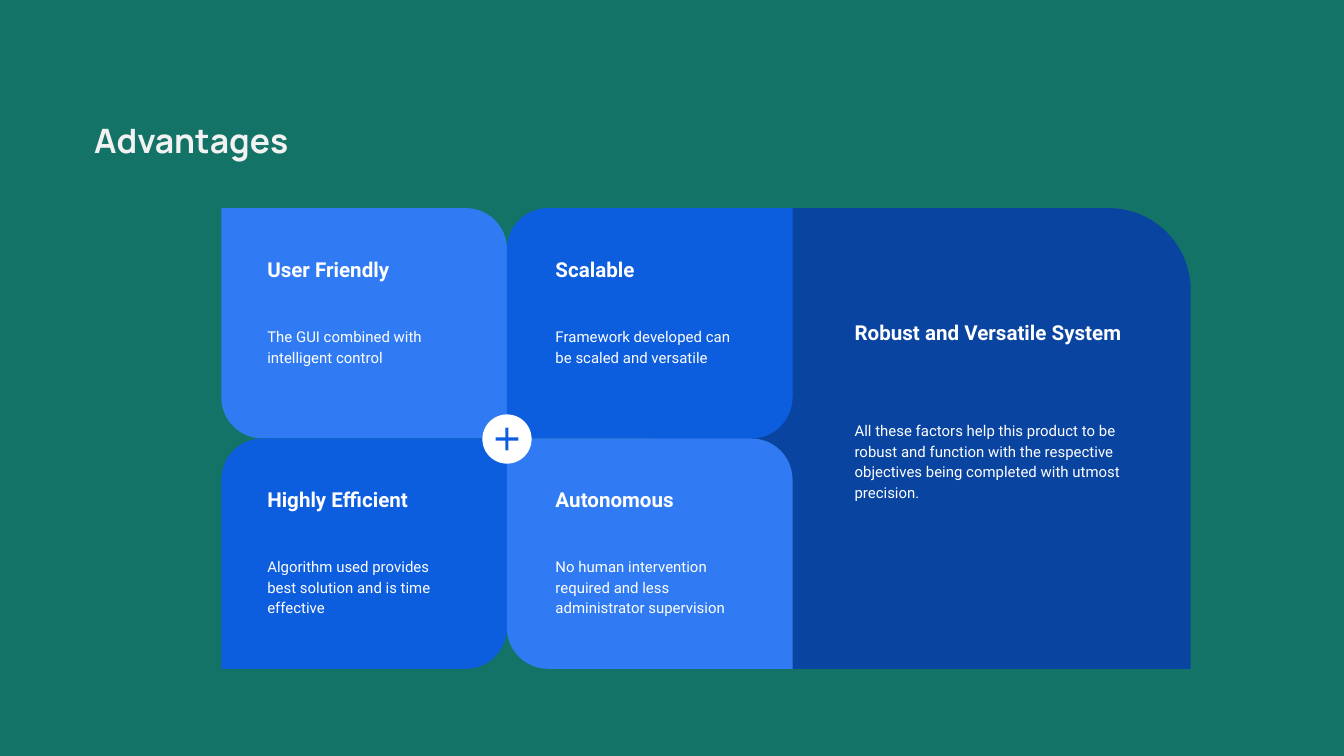
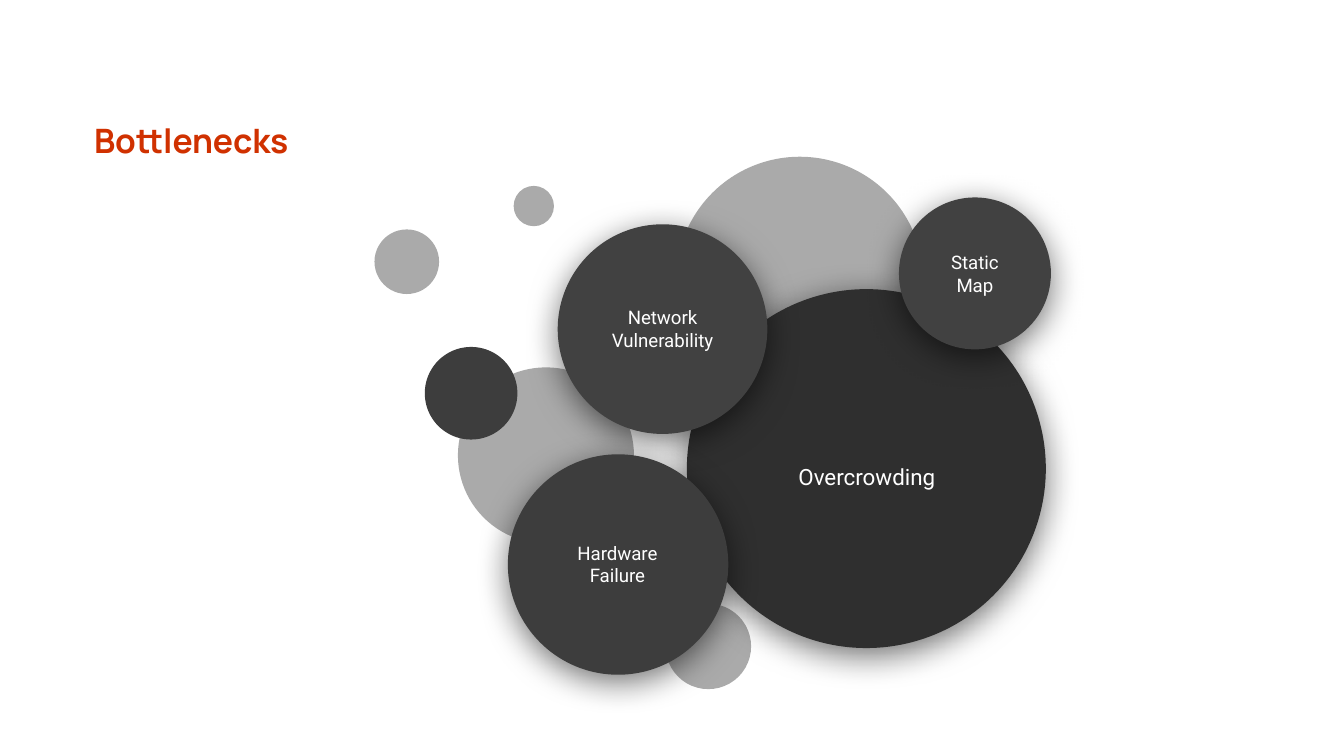
from lxml import etree
from pptx import Presentation
from pptx import util as u
from pptx.dml.color import RGBColor
from pptx.enum import shapes, text
from pptx.oxml import ns

Pt = u.Pt

COLORS = {
    "green": "137366",
    "white": "FFFFFF",
    "pale": "F2F2F2",
    "red": "D03100",
    "navy": "0944A1",
    "blue": "0D5DDF",
    "sky": "307BF3",
    "silver": "AAAAAA",
    "black": "2F2F2F",
    "charcoal": "3D3D3D",
    "graphite": "414141",
}
TITLE_FONT = "Manrope"
BODY_FONT = "Roboto"
CORNER = 0.178


class Deck:
    def __init__(self):
        self.presentation = Presentation()
        self.presentation.slide_width = Pt(720)
        self.presentation.slide_height = Pt(405)
        self.slide = None

    def color(self, name):
        return RGBColor.from_string(COLORS[name])

    def new_slide(self, title, background, title_color):
        layout = self.presentation.slide_layouts[5]
        self.slide = self.presentation.slides.add_slide(layout)
        fill = self.slide.background.fill
        fill.solid()
        fill.fore_color.rgb = self.color(background)
        shape = self.slide.shapes.title
        shape.left, shape.top = Pt(43.2), Pt(56.9)
        shape.width, shape.height = Pt(286.6), Pt(44.6)
        self.set_words(shape, title, 18, title_color, bold=True, font=TITLE_FONT)

    def set_words(self, shape, words, size, color="white", bold=False,
                  font=BODY_FONT, centered=False, body=False):
        frame = shape.text_frame
        frame.text = words
        frame.word_wrap = True
        frame.auto_size = text.MSO_AUTO_SIZE.NONE
        frame.margin_left = frame.margin_right = Pt(7.2)
        frame.margin_top = frame.margin_bottom = Pt(7.2)
        anchors = text.MSO_ANCHOR
        frame.vertical_anchor = anchors.MIDDLE if centered else anchors.TOP
        paragraph = frame.paragraphs[0]
        paragraph.alignment = text.PP_ALIGN.CENTER if centered else text.PP_ALIGN.LEFT
        if body:
            paragraph.line_spacing = 1.15
            paragraph.space_after = Pt(16)
        for run in paragraph.runs:
            run.font.name = font
            run.font.size = Pt(size)
            run.font.bold = bold
            run.font.color.rgb = self.color(color)

    def label(self, words, left, top, width, height, size, **style):
        shape = self.slide.shapes.add_textbox(Pt(left), Pt(top), Pt(width), Pt(height))
        self.set_words(shape, words, size, **style)

    def block(self, kind, left, top, width, height, color, adjustments=()):
        shape = self.slide.shapes.add_shape(
            kind, Pt(left), Pt(top), Pt(width), Pt(height))
        for index, value in enumerate(adjustments):
            shape.adjustments[index] = value
        shape.shadow.inherit = False
        shape.fill.solid()
        shape.fill.fore_color.rgb = self.color(color)
        shape.line.fill.background()
        return shape

    def panel(self, left, top, width, height, color, adjustments):
        kind = shapes.MSO_SHAPE.ROUND_2_DIAG_RECTANGLE
        return self.block(kind, left, top, width, height, color, adjustments)

    def circle(self, left, top, diameter, color):
        return self.block(shapes.MSO_SHAPE.OVAL, left, top, diameter, diameter, color)

    def bubble(self, words, circle, box, size):
        self.drop_shadow(self.circle(*circle))
        self.label(words, *box, size, centered=True)

    def drop_shadow(self, shape):
        effects = shape._element.spPr.find(ns.qn("a:effectLst"))
        shadow = etree.SubElement(
            effects, ns.qn("a:outerShdw"), blurRad=str(Pt(18)), dist=str(Pt(4)),
            dir="5400000", algn="bl", rotWithShape="0")
        tint = etree.SubElement(shadow, ns.qn("a:srgbClr"), val="000000")
        etree.SubElement(tint, ns.qn("a:alpha"), val="55000")


def build_advantages(deck):
    deck.new_slide("Advantages", "green", "pale")
    left, top, width, height = 118.6, 111.5, 153, 123.4

    deck.panel(348.5, top, 289.4, 2 * height, "navy", (0, CORNER))
    deck.label("Robust and Versatile System", 450.7, 164.2, 159.1, 47.5, 11, bold=True)
    deck.label("All these factors help this product to be robust and function with "
               "the respective objectives being completed with utmost precision.",
               450.7, 217.4, 159.1, 88.6, 8, body=True)

    cards = [
        ("User Friendly", "The GUI combined with intelligent control"),
        ("Scalable", "Framework developed can be scaled and versatile"),
        ("Highly Efficient",
         "Algorithm used provides best solution and is time effective"),
        ("Autonomous",
         "No human intervention required and less administrator supervision"),
    ]
    for index, (heading, body) in enumerate(cards):
        row, column = divmod(index, 2)
        on_diagonal = row == column
        deck.panel(left + column * width, top + row * height, width, height,
                   "sky" if on_diagonal else "blue",
                   (0, CORNER) if on_diagonal else (CORNER, 0))
        text_left = 136.1 + column * 154.4
        text_top = 130.4 + row * height
        deck.label(heading, text_left, text_top, 114.5, 36, 11, bold=True)
        deck.label(body, text_left, text_top + 36.5, 114.5, 40.3, 8, body=True)

    center_x, center_y = left + width, top + height + 0.3
    for kind, size, color, adjustments in [
        (shapes.MSO_SHAPE.OVAL, 26.4, "white", ()),
        (shapes.MSO_SHAPE.MATH_PLUS, 16.6, "blue", (0.099,)),
    ]:
        deck.block(kind, center_x - size / 2, center_y - size / 2,
                   size, size, color, adjustments)


def build_bottlenecks(deck):
    deck.new_slide("Bottlenecks", "white", "red")
    for circle in [
        (356.6, 323.4, 45.8, "silver"),
        (200.6, 122.9, 34.6, "silver"),
        (245.3, 196.8, 94.3, "silver"),
        (362.2, 84, 132.5, "silver"),
        (227.6, 185.9, 49.6, "charcoal"),
        (275.2, 99.6, 21.6, "silver"),
    ]:
        deck.circle(*circle)

    for bubble in [
        ("Overcrowding", (368, 154.9, 192.3, "black"), (391, 209.5, 146.9, 91.4), 12),
        ("Network Vulnerability", (298.8, 120.2, 112.3, "graphite"),
         (316.8, 139, 76.3, 74.2), 10),
        ("Hardware Failure", (272.1, 243.4, 118.1, "charcoal"),
         (288.7, 265, 84.2, 74.2), 10),
        ("Static Map", (481.6, 105.8, 81.4, "graphite"), (494.6, 119.5, 55.4, 54), 10),
    ]:
        deck.bubble(*bubble)


def main():
    deck = Deck()
    build_advantages(deck)
    build_bottlenecks(deck)
    deck.presentation.save("out.pptx")


if __name__ == "__main__":
    main()
